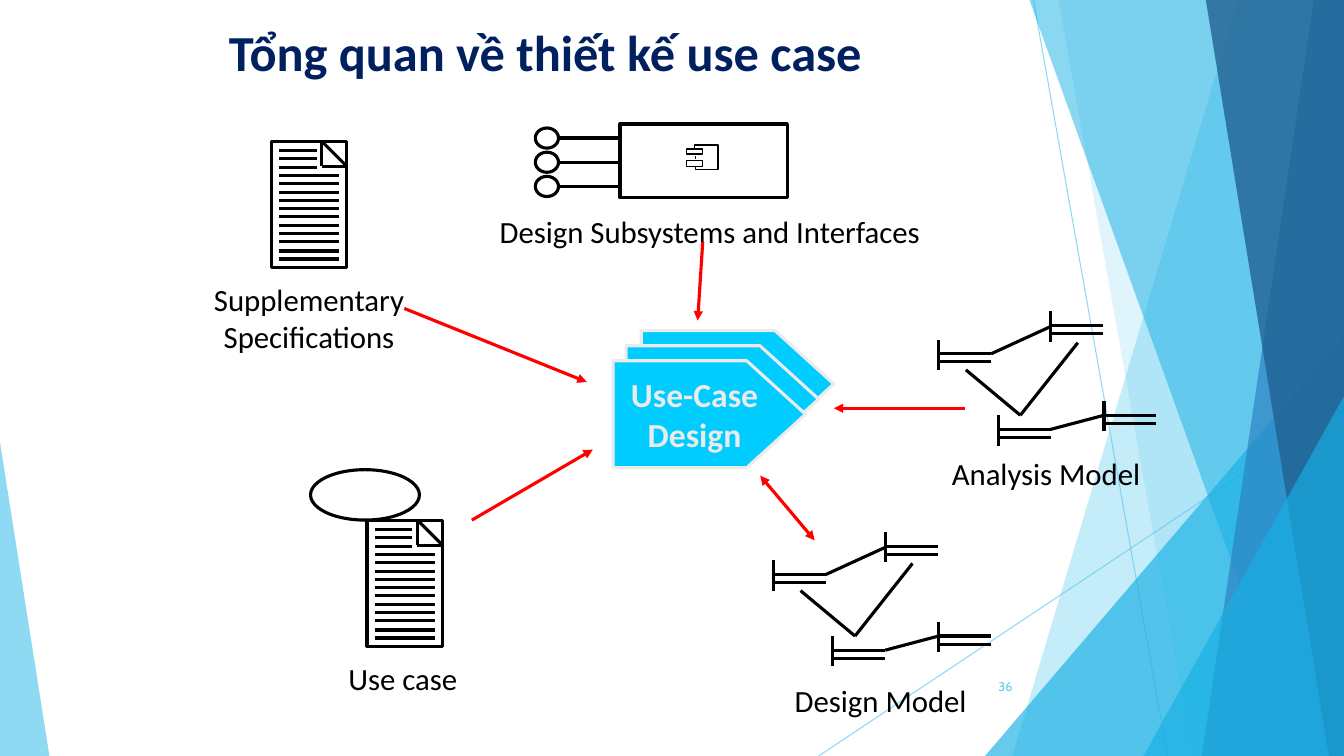
from lxml.etree import SubElement
from pptx import Presentation
from pptx.dml.color import RGBColor
from pptx.enum.shapes import MSO_CONNECTOR, MSO_SHAPE as SHAPE
from pptx.enum.text import MSO_ANCHOR as ANCHOR, MSO_AUTO_SIZE, PP_ALIGN as ALIGN
from pptx.oxml.ns import qn
from pptx.util import Inches, Pt

PX = Inches(1) // 100
WIDTH, HEIGHT = 1333, 750
COLORS = {
    "ink": "000000", "title": "002060", "arrow": "FF0000",
    "plate": "00CCFF", "pale": "EBEBEB",
    "sky": "5FCBEF", "cyan": "17B0E4", "blue": "2E83C3", "navy": "226292",
}


def rgb(name):
    return RGBColor.from_string(COLORS[name])


def set_opacity(shape, percent):
    for color in shape.element.spPr.iter(qn("a:srgbClr")):
        SubElement(color, qn("a:alpha")).set("val", str(percent * 1000))


class Canvas:
    """Draws on one slide in px; new shapes go to the current group, if any."""

    def __init__(self, slide, font="Calibri", stroke=2.25):
        self.slide = slide
        self.shapes = slide.shapes
        self.font = font
        self.stroke = stroke

    def start_group(self):
        self.shapes = self.slide.shapes.add_group_shape().shapes

    def end_group(self):
        self.shapes = self.slide.shapes

    def paint(self, shape, fill, line, stroke, opacity=100):
        shape.shadow.inherit = False
        if fill:
            shape.fill.solid()
            shape.fill.fore_color.rgb = rgb(fill)
        else:
            shape.fill.background()
        if line:
            shape.line.color.rgb = rgb(line)
            shape.line.width = Pt(stroke or self.stroke)
        else:
            shape.line.fill.background()
        if opacity < 100:
            set_opacity(shape, opacity)
        return shape

    def shape(self, kind, box, fill=None, line="ink", stroke=None, opacity=100, adjust=None):
        shape = self.shapes.add_shape(kind, *(value * PX for value in box))
        if adjust is not None:
            shape.adjustments[0] = adjust
        return self.paint(shape, fill, line, stroke, opacity)

    def outline(self, points, close, fill=None, line="ink", stroke=None, opacity=100):
        builder = self.shapes.build_freeform(*points[0], scale=PX)
        builder.add_line_segments(points[1:], close=close)
        return self.paint(builder.convert_to_shape(), fill, line, stroke, opacity)

    def line(self, x1, y1, x2, y2, color="ink", stroke=None, opacity=100, arrows=()):
        """Draw a straight line; arrows lists "headEnd" (start) and "tailEnd" (end)."""
        connector = self.shapes.add_connector(
            MSO_CONNECTOR.STRAIGHT, x1 * PX, y1 * PX, x2 * PX, y2 * PX)
        connector.line.color.rgb = rgb(color)
        connector.line.width = Pt(stroke or self.stroke)
        if opacity < 100:
            set_opacity(connector, opacity)
        properties = connector.element.spPr
        for end in arrows:
            SubElement(properties.find(qn("a:ln")), qn(f"a:{end}")).set("type", "triangle")
        SubElement(properties, qn("a:effectLst"))

    def set_text(self, shape, lines, size, color="ink", bold=False, align=ALIGN.CENTER,
                 anchor=ANCHOR.TOP, font=None, wrap=False):
        frame = shape.text_frame
        frame.text = "\n".join(lines)
        frame.word_wrap = wrap
        frame.auto_size = MSO_AUTO_SIZE.NONE
        frame.vertical_anchor = anchor
        for paragraph in frame.paragraphs:
            paragraph.alignment = align
            paragraph.font.name = font or self.font
            paragraph.font.size = Pt(size)
            paragraph.font.bold = bold
            paragraph.font.color.rgb = rgb(color)

    def label(self, box, *lines, size=22, **style):
        self.set_text(self.shapes.add_textbox(*(value * PX for value in box)),
                      lines, size, **style)

    def title(self, box, text):
        title = self.slide.shapes.title
        title.left, title.top, title.width, title.height = (value * PX for value in box)
        self.set_text(title, [text], 36, "title", True, ALIGN.LEFT, wrap=True)

    def document(self, left, top):
        """Draw a page with a folded corner and fourteen ruled lines."""
        self.shape(SHAPE.RECTANGLE, (left, top, 75, 125))
        fold, right, bottom = left + 50, left + 75, top + 25
        self.line(fold, top, right, bottom)
        self.line(fold, top, fold, bottom)
        self.line(right, bottom, fold, bottom)
        for row in range(14):
            y = top + 9 + round(row * 108 / 13)
            self.line(left + 8, y, left + (45 if row < 3 else 67), y)

    def class_model(self, left, top):
        """Draw four boundary symbols joined by links."""
        for x, y in [(0, 28), (111, 0), (59, 103), (164, 89)]:
            x, y = left + x, top + y
            self.line(x, y, x, y + 30)
            for arm in (22, 14):
                self.line(x, y + arm, x + 52, y + arm)
        for x1, y1, x2, y2 in [(81, 103, 27, 58), (52, 42, 111, 15),
                               (111, 117, 164, 103), (81, 103, 138, 31)]:
            self.line(left + x1, top + y1, left + x2, top + y2)


def draw_backdrop(canvas):
    def facet(top_x, bottom_x, color, opacity):
        canvas.outline([(top_x, 0), (WIDTH, 0), (WIDTH, HEIGHT), (bottom_x, HEIGHT)],
                       True, color, None, opacity=opacity)

    def corner(box, color, opacity, apex):
        canvas.shape(SHAPE.ISOSCELES_TRIANGLE, box, color, None,
                     opacity=opacity, adjust=apex)

    canvas.start_group()
    canvas.line(1025, 0, 1158, HEIGHT, "sky", 0.75, 70)
    canvas.line(WIDTH, 403, 812, HEIGHT, "sky", 0.75, 70)
    facet(1228, 1004, "sky", 36)
    facet(1050, 1183, "sky", 20)
    corner((977, 333, 356, 417), "cyan", 66, 1)
    facet(1021, 1291, "cyan", 50)
    facet(1303, 1192, "blue", 70)
    facet(1196, 1318, "navy", 80)
    corner((1134, 393, 199, 357), "cyan", 66, 1)
    corner((0, 439, 49, 311), "sky", 70, 0)
    canvas.end_group()


def draw_subsystem(canvas):
    canvas.shape(SHAPE.RECTANGLE, (615, 123, 166, 73))
    for y in (137, 161, 185):
        canvas.shape(SHAPE.OVAL, (531, y - 10, 23, 20))
        canvas.line(554, y, 615, y)
    canvas.label((483, 206, 442, 47), "Design Subsystems and Interfaces")
    canvas.start_group()
    canvas.shape(SHAPE.RECTANGLE, (681, 159, 16, 6), stroke=1)
    canvas.shape(SHAPE.RECTANGLE, (681, 148, 16, 5), stroke=1)
    canvas.outline([(689, 148), (689, 144), (712, 144), (712, 168), (690, 168), (690, 165)],
                   False, stroke=1)
    canvas.line(690, 155, 690, 158, stroke=1)
    canvas.end_group()


def main():
    presentation = Presentation()
    presentation.slide_width, presentation.slide_height = WIDTH * PX, HEIGHT * PX
    canvas = Canvas(presentation.slides.add_slide(presentation.slide_layouts[5]))
    draw_backdrop(canvas)
    canvas.title((217, 16, 900, 86), "Tổng quan về thiết kế use case")

    canvas.start_group()
    canvas.document(269, 140)
    canvas.label((201, 274, 211, 84), "Supplementary", "Specifications")
    canvas.end_group()

    for left, top in [(636, 328), (621, 343), (608, 358)]:
        plate = canvas.shape(SHAPE.PENTAGON, (left, top, 191, 106), "plate", "pale", adjust=0.55)
    canvas.set_text(plate, ["Use-Case", "Design"], 24, "pale", True, anchor=ANCHOR.MIDDLE)
    draw_subsystem(canvas)

    canvas.start_group()
    canvas.shape(SHAPE.OVAL, (308, 466, 108, 50))
    canvas.document(364, 516)
    canvas.label((299, 650, 201, 47), "Use case", wrap=True)
    canvas.end_group()

    for model, left, top, box in [("Design Model", 767, 528, (777, 671, 193, 47)),
                                  ("Analysis Model", 931, 309, (933, 446, 209, 47))]:
        canvas.start_group()
        canvas.class_model(left, top)
        canvas.label(box, model)
        canvas.end_group()

    for ends in [(468, 516, 588, 446), (401, 306, 582, 379),
                 (957, 405, 827, 405), (697, 240, 692, 318)]:
        canvas.line(*ends, "arrow", arrows=["tailEnd"])
    canvas.line(808, 536, 754, 472, "arrow", arrows=["headEnd", "tailEnd"])

    canvas.label((939, 661, 75, 40), "36", size=9, color="sky", align=ALIGN.RIGHT,
                 anchor=ANCHOR.MIDDLE, font="Cabin", wrap=True)
    presentation.save("out.pptx")


if __name__ == "__main__":
    main()
